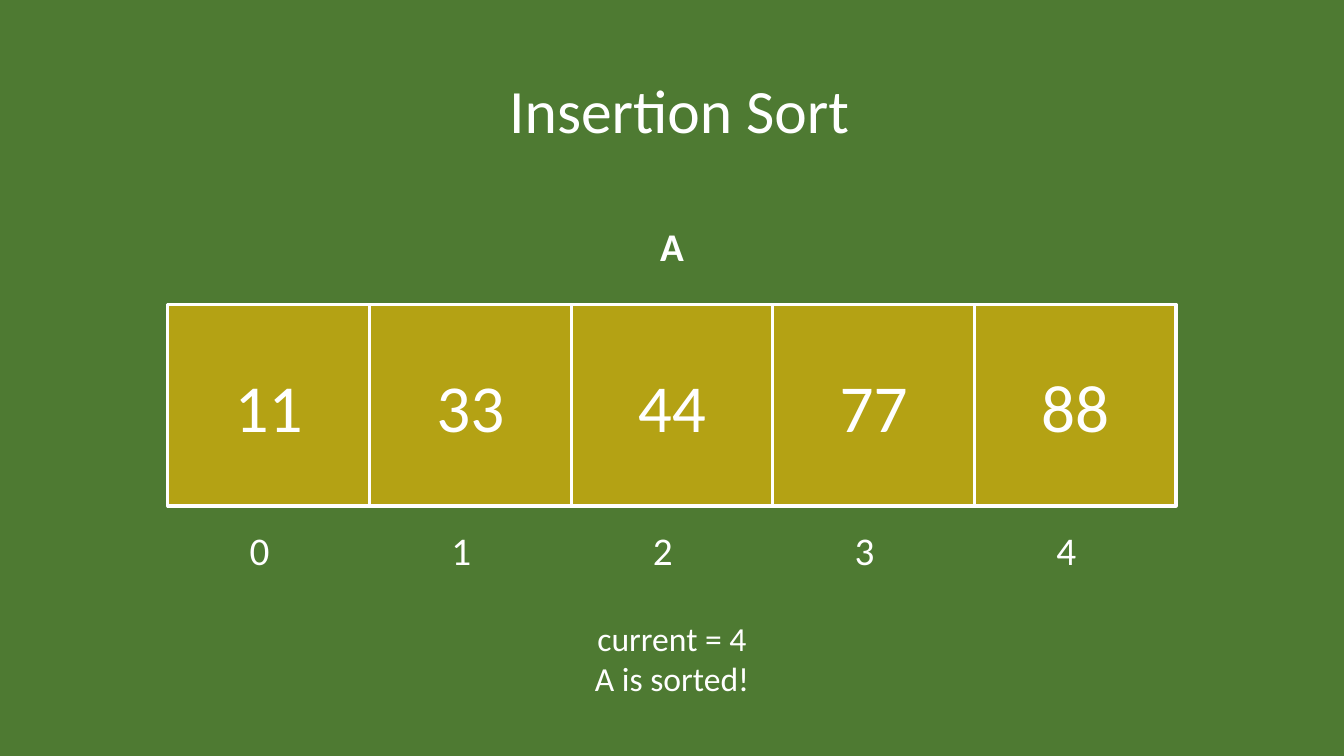
import dataclasses

import pptx
import pptx.dml.color
import pptx.enum.shapes
import pptx.enum.text
import pptx.oxml
import pptx.oxml.ns
import pptx.util

Inches = pptx.util.Inches
Align = pptx.enum.text.PP_ALIGN
Anchor = pptx.enum.text.MSO_ANCHOR


@dataclasses.dataclass(frozen=True)
class Theme:
    """Colours, font and type sizes of the slide."""
    background: str = "4E7A32"
    cell: str = "FFC000"
    cell_opacity: int = 58
    ink: str = "FFFFFF"
    font: str = "Calibri"
    title_size: int = 44
    value_size: int = 48
    label_size: int = 28
    status_size: int = 24
    border: float = 2.25


THEME = Theme()
WIDTH, HEIGHT = 13.33, 7.5
CELL = 2
VALUES = [11, 33, 44, 77, 88]


def rgb(code):
    """Turn a hex code into a colour."""
    return pptx.dml.color.RGBColor.from_string(code)


def write(shape, text, size, bold=False):
    """Put centred, middle-anchored text in a shape and format its runs."""
    frame = shape.text_frame
    frame.text = text
    frame.vertical_anchor = Anchor.MIDDLE
    for para in frame.paragraphs:
        para.alignment = Align.CENTER
        for span in para.runs:
            span.font.name = THEME.font
            span.font.size = pptx.util.Pt(size)
            span.font.bold = bold
            span.font.color.rgb = rgb(THEME.ink)


def add_title(page, box, text):
    """Place and format the title placeholder in the box."""
    title = page.shapes.title
    title.left, title.top, title.width, title.height = map(Inches, box)
    write(title, text, THEME.title_size)
    title.text_frame.paragraphs[0].line_spacing = 0.9


def add_label(page, box, text, size, bold=False):
    """Add an unwrapped line of text, or several, centred in the box."""
    label = page.shapes.add_textbox(*map(Inches, box))
    label.text_frame.word_wrap = False
    write(label, text, size, bold)


def add_cell(page, box, value):
    """Add one bordered, translucent array cell holding a value."""
    cell = page.shapes.add_shape(
        pptx.enum.shapes.MSO_SHAPE.RECTANGLE, *map(Inches, box))
    cell.shadow.inherit = False
    cell.fill.solid()
    cell.fill.fore_color.rgb = rgb(THEME.cell)
    colour = cell._element.spPr.find(".//" + pptx.oxml.ns.qn("a:srgbClr"))
    colour.append(pptx.oxml.parse_xml(
        f'<a:alpha {pptx.oxml.ns.nsdecls("a")} val="{THEME.cell_opacity * 1000}"/>'))
    cell.line.color.rgb = rgb(THEME.ink)
    cell.line.width = pptx.util.Pt(THEME.border)
    write(cell, str(value), THEME.value_size)


def add_array(page, box, name, values):
    """Draw a named row of equal cells in the box, with indices below."""
    left, top, width, height = box
    step = width / len(values)
    label_height = 0.57
    for index, value in enumerate(values):
        x = left + index * step
        add_cell(page, (x, top, step, height), value)
        # Indices sit slightly left of each cell's centre.
        add_label(page, (x + 0.71, top + height + 0.15, 0.4, label_height),
                  str(index), THEME.label_size)
    add_label(page, (left + width / 2 - 0.27, top - 0.87, 0.54, label_height),
              name, THEME.label_size, bold=True)


def build_sort_slide(deck):
    """Add the slide that shows the sorted array and its status."""
    page = deck.slides.add_slide(deck.slide_layouts[5])
    page.background.fill.solid()
    page.background.fill.fore_color.rgb = rgb(THEME.background)
    add_title(page, (0.92, 0.4, 11.5, 1.45), " Insertion Sort")
    array_width = CELL * len(VALUES)
    add_array(page, ((WIDTH - array_width) / 2, 3.02, array_width, CELL),
              "A", VALUES)
    status_width = 1.91
    add_label(page, ((WIDTH - status_width) / 2, 6.07, status_width, 0.91),
              "current = 4\nA is sorted!", THEME.status_size)


deck = pptx.Presentation()
deck.slide_width, deck.slide_height = Inches(WIDTH), Inches(HEIGHT)
build_sort_slide(deck)
deck.save("out.pptx")
